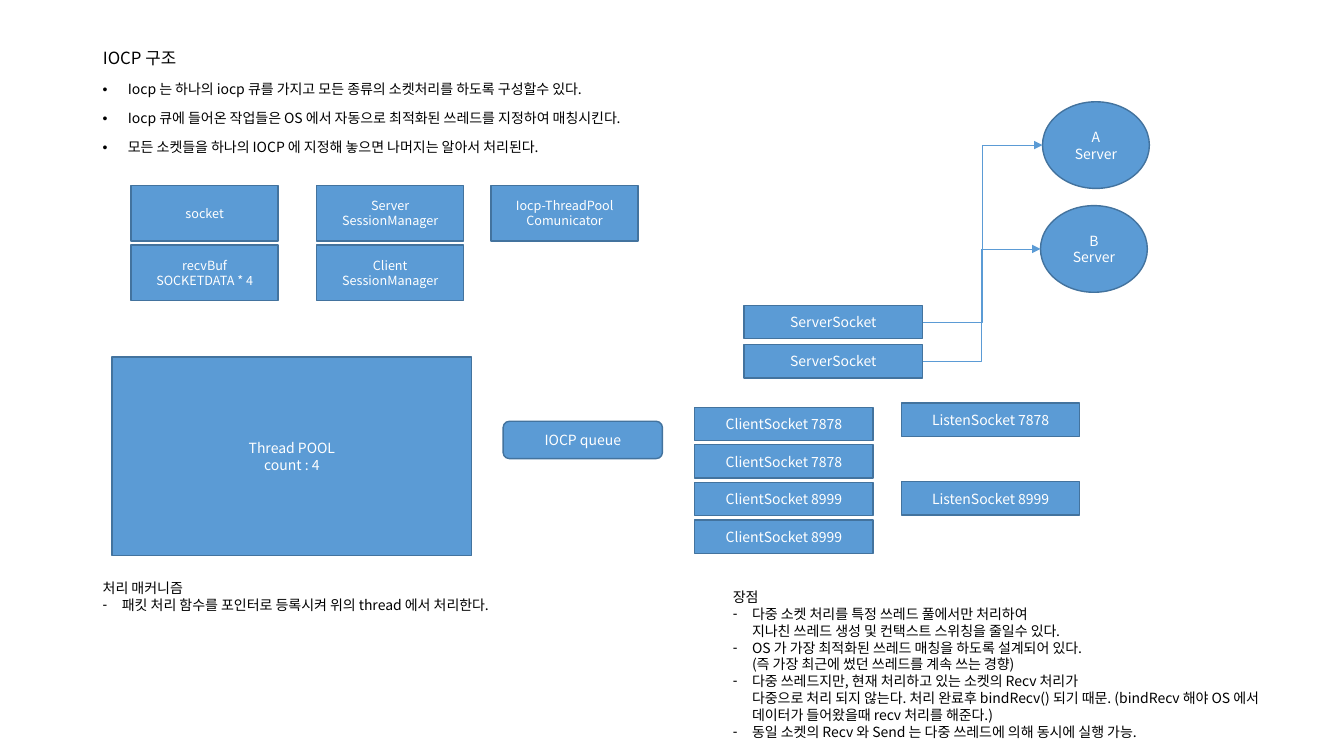
"""Build the IOCP structure slide."""
from copy import deepcopy

from lxml import etree
from pptx import Presentation
from pptx.dml.color import RGBColor
from pptx.enum.shapes import MSO_CONNECTOR, MSO_SHAPE
from pptx.enum.text import MSO_ANCHOR, MSO_AUTO_SIZE, PP_ALIGN
from pptx.oxml.ns import qn
from pptx.util import Inches, Pt

RECT, ROUND, OVAL = MSO_SHAPE.RECTANGLE, MSO_SHAPE.ROUNDED_RECTANGLE, MSO_SHAPE.OVAL
ELBOW = MSO_CONNECTOR.ELBOW
LEFT, CENTER = PP_ALIGN.LEFT, PP_ALIGN.CENTER
TOP, MIDDLE = MSO_ANCHOR.TOP, MSO_ANCHOR.MIDDLE
FIXED = MSO_AUTO_SIZE.NONE

FONT = "Noto Sans CJK KR"
BLUE, EDGE, WHITE, BLACK = "5B9BD5", "43739E", "FFFFFF", "000000"
SLIDE = (13.33, 7.5)
MARGIN = 0.92

TITLE = "IOCP 구조"
SUMMARY = [
    "Iocp 는 하나의 iocp 큐를 가지고 모든 종류의 소켓처리를 하도록 구성할수 있다.",
    "Iocp 큐에 들어온 작업들은 OS 에서 자동으로 최적화된 쓰레드를 지정하여 매칭시킨다.",
    "모든 소켓들을 하나의 IOCP 에 지정해 놓으면 나머지는 알아서 처리된다.",
]
MECHANISM = ["처리 매커니즘", "패킷 처리 함수를 포인터로 등록시켜 위의 thread 에서 처리한다."]
BENEFITS = [
    "장점",
    "다중 소켓 처리를 특정 쓰레드 풀에서만 처리하여\n지나친 쓰레드 생성 및 컨택스트 스위칭을 줄일수 있다.",
    "OS 가 가장 최적화된 쓰레드 매칭을 하도록 설계되어 있다. \n(즉 가장 최근에 썼던 쓰레드를 계속 쓰는 경향)",
    "다중 쓰레드지만, 현재 처리하고 있는 소켓의 Recv 처리가\n다중으로 처리 되지 않는다. 처리 완료후 bindRecv() 되기 때문. "
    "(bindRecv 해야 OS 에서 데이터가 들어왔을때 recv 처리를 해준다.)",
    "동일 소켓의 Recv 와 Send 는 다중 쓰레드에 의해 동시에 실행 가능.",
]

CLASS_BOX = (RECT, 1.46, 0.55, 9)
SOCKET_BOX = (RECT, 1.77, 0.33, 10)
SERVER_BALL = (OVAL, 1.06, 0.86, 10)
STACKS = [
    (CLASS_BOX, 1.3, 1.84, 0.59, ["socket", "recvBuf\nSOCKETDATA * 4"]),
    (CLASS_BOX, 3.14, 1.84, 0.59, ["Server\nSessionManager", "Client\nSessionManager"]),
    (CLASS_BOX, 4.87, 1.84, 0.59, ["Iocp-ThreadPool\nComunicator"]),
    ((RECT, 3.57, 1.97, 10), 1.11, 3.54, 0, ["Thread POOL\ncount : 4"]),
    ((ROUND, 1.58, 0.37, 10), 4.99, 4.18, 0, ["IOCP queue"]),
    (SOCKET_BOX, 6.89, 4.04, 0.373, ["ClientSocket 7878"] * 2 + ["ClientSocket 8999"] * 2),
    (SOCKET_BOX, 8.94, 4.0, 0.78, ["ListenSocket 7878", "ListenSocket 8999"]),
]
SERVER_SOCKETS = (SOCKET_BOX, 7.38, 3.03, 0.39, ["ServerSocket"] * 2)
SERVERS = [
    (SERVER_BALL, 10.34, 1.01, 0, ["A\nServer"]),
    (SERVER_BALL, 10.32, 2.04, 0, ["B\nServer"]),
]


def rgb(value):
    """Turn a hex string into a colour."""
    return RGBColor.from_string(value)


def apply(target, values):
    """Set each attribute named in a dict."""
    for name, value in values.items():
        setattr(target, name, value)


def write(frame, lines, size, color, align=LEFT, anchor=TOP, **spacing):
    """Fill a text frame with one paragraph per line."""
    apply(frame, {"word_wrap": True, "auto_size": FIXED, "vertical_anchor": anchor})
    for index, line in enumerate(lines):
        paragraph = frame.add_paragraph() if index else frame.paragraphs[0]
        paragraph.text = line
        apply(paragraph, {"alignment": align, **spacing})
        for run in paragraph.runs:
            apply(run.font, {"name": FONT, "size": Pt(size)})
            run.font.color.rgb = rgb(color)
            props = run.font._element
            etree.SubElement(props, qn("a:ea"), typeface=FONT)
            for line_break in paragraph._p.findall(qn("a:br")):
                if len(line_break) == 0:
                    line_break.append(deepcopy(props))


def bullet(paragraph, mark, indent):
    """Give a paragraph a hanging bullet."""
    props = paragraph._p.get_or_add_pPr()
    props.set("marL", str(Inches(indent)))
    props.set("indent", str(-Inches(indent)))
    etree.SubElement(props, qn("a:buFont"), typeface="Arial")
    etree.SubElement(props, qn("a:buChar"), char=mark)


def add_text(slide, left, top, width, height, lines, mark, indent, headings, **spacing):
    """Add a text box whose lines after the headings are bulleted."""
    frame = slide.shapes.add_textbox(*map(Inches, (left, top, width, height))).text_frame
    write(frame, lines, 10, BLACK, **spacing)
    for paragraph in frame.paragraphs[headings:]:
        bullet(paragraph, mark, indent)


def add_stack(slide, style, left, top, pitch, labels):
    """Add equal shapes one below another and return them."""
    kind, width, height, size = style
    stack = []
    for row, label in enumerate(labels):
        box = slide.shapes.add_shape(
            kind, *map(Inches, (left, top + row * pitch, width, height)))
        box.shadow.inherit = False
        box.fill.solid()
        box.fill.fore_color.rgb = rgb(BLUE)
        box.line.color.rgb = rgb(EDGE)
        box.line.width = Pt(1)
        write(box.text_frame, [label], size, WHITE, CENTER, MIDDLE)
        stack.append(box)
    return stack


def add_arrow(slide, socket, server):
    """Lead an elbow arrow from a socket to the left of a server."""
    arrow = slide.shapes.add_connector(
        ELBOW, socket.left + socket.width, socket.top + socket.height // 2,
        server.left, server.top + server.height // 2)
    arrow.begin_connect(socket, 3)
    arrow.line.color.rgb = rgb(BLUE)
    arrow.line.width = Pt(0.5)
    etree.SubElement(arrow.line._get_or_add_ln(), qn("a:tailEnd"), type="triangle")
    etree.SubElement(arrow._element.spPr, qn("a:effectLst"))


def main():
    """Build and save the slide."""
    deck = Presentation()
    deck.slide_width, deck.slide_height = map(Inches, SLIDE)
    slide = deck.slides.add_slide(deck.slide_layouts[5])

    title = slide.shapes.title
    apply(title, dict(zip(("left", "top", "width", "height"),
                          map(Inches, (MARGIN, 0.4, 11.5, 0.37)))))
    write(title.text_frame, [TITLE], 12, BLACK, anchor=MIDDLE, line_spacing=0.9)

    add_text(slide, MARGIN, 0.77, 11.5, 1.0, SUMMARY, "•", 0.25, 0,
             line_spacing=0.9, space_before=Pt(10))
    for stack in STACKS:
        add_stack(slide, *stack)
    sockets = add_stack(slide, *SERVER_SOCKETS)
    for socket, server in zip(sockets, SERVERS):
        add_arrow(slide, socket, add_stack(slide, *server)[0])
    add_text(slide, 7.17, 5.79, 5.59, 1.62, BENEFITS, "-", 0.19, 1)
    add_text(slide, MARGIN, 5.7, 5.59, 0.44, MECHANISM, "-", 0.19, 1)
    deck.save("out.pptx")


if __name__ == "__main__":
    main()
